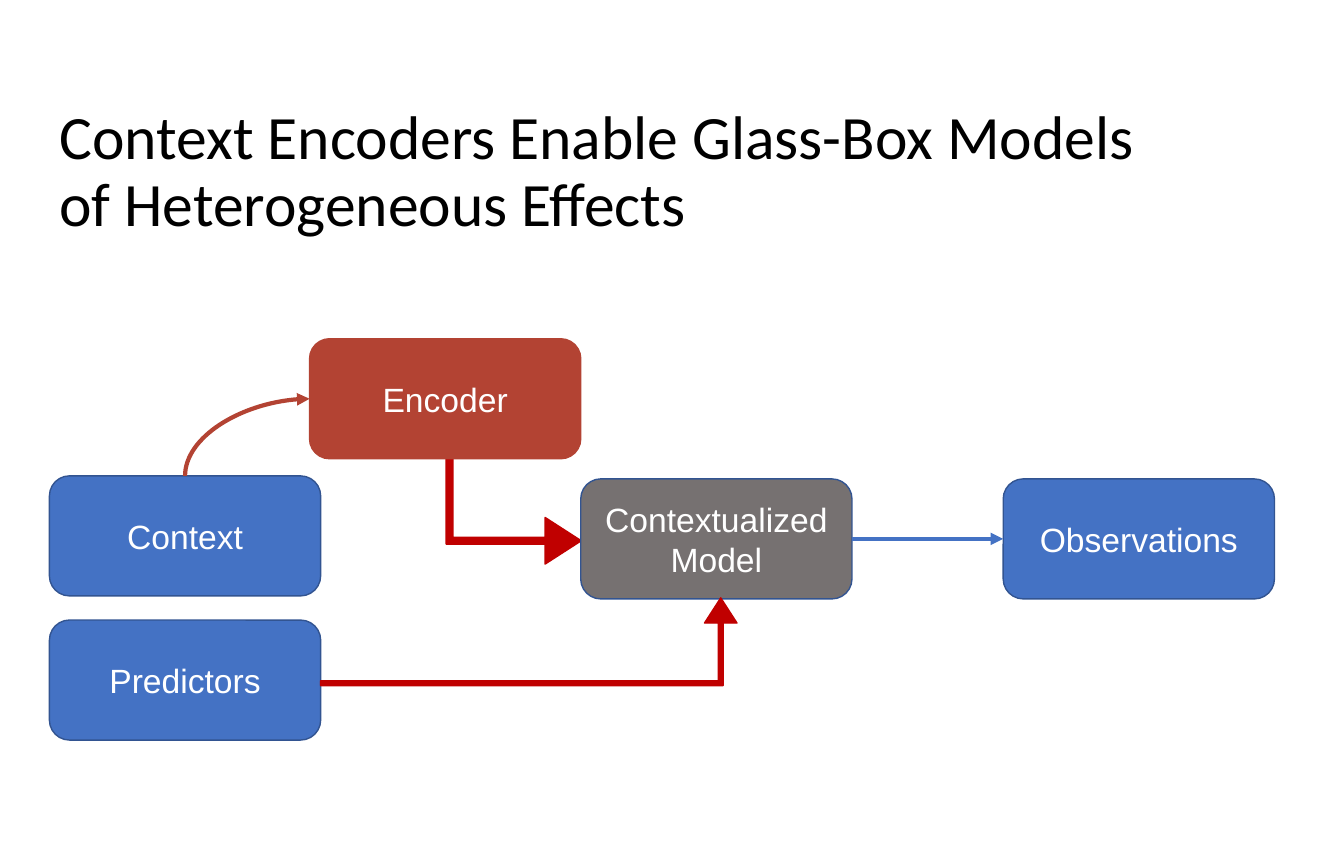
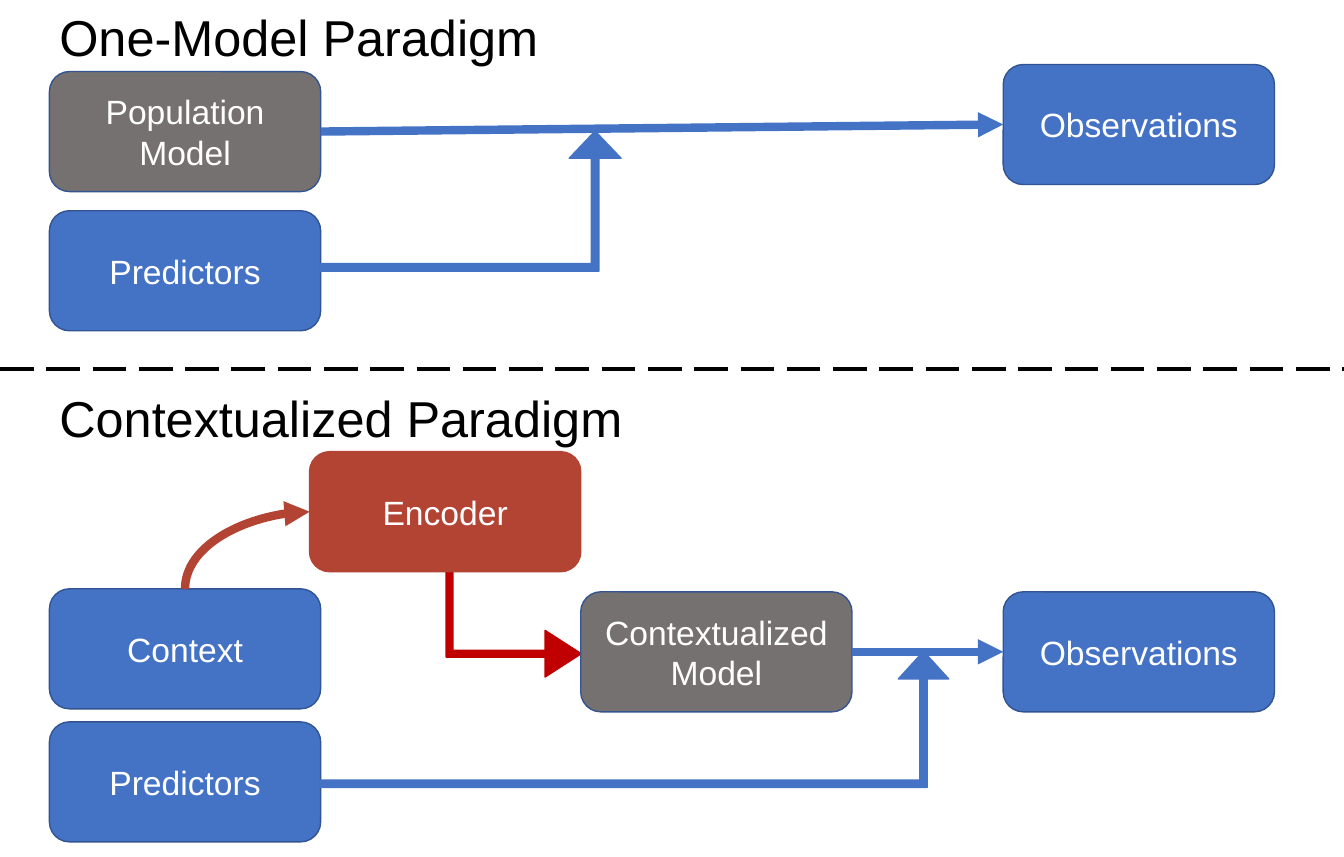
from pptx import Presentation
from pptx.dml.color import RGBColor
from pptx.enum.dml import MSO_LINE
from pptx.enum.shapes import MSO_CONNECTOR, MSO_SHAPE
from pptx.enum.text import MSO_ANCHOR, MSO_AUTO_SIZE, PP_ALIGN
from pptx.oxml.ns import qn
from pptx.util import Inches, Pt
from lxml import etree

ROUNDED = MSO_SHAPE.ROUNDED_RECTANGLE
BENT_ARROW = MSO_SHAPE.BENT_UP_ARROW
STRAIGHT, CURVE = MSO_CONNECTOR.STRAIGHT, MSO_CONNECTOR.CURVE
LONG_DASH = MSO_LINE.LONG_DASH
MIDDLE, CENTER = MSO_ANCHOR.MIDDLE, PP_ALIGN.CENTER
FIT_SHAPE = MSO_AUTO_SIZE.SHAPE_TO_FIT_TEXT

BLUE = RGBColor(0x44, 0x72, 0xC4)
NAVY = RGBColor(0x32, 0x54, 0x91)
GRAY = RGBColor(0x76, 0x71, 0x71)
BRICK = RGBColor(0xB3, 0x43, 0x33)
RED = RGBColor(0xC0, 0x00, 0x00)
BLACK = RGBColor(0x00, 0x00, 0x00)
WHITE = RGBColor(0xFF, 0xFF, 0xFF)

SLIDE_W, SLIDE_H = 13.33, 8.5
BOX_W, BOX_H = 2.69, 1.19
INPUT_X, ENCODER_X, MODEL_X, OUTPUT_X = 0.49, 3.07, 5.76, 9.95
ARROW_X = INPUT_X + BOX_W
TOP, LEFT, RIGHT = 0, 1, 3  # connection sites of a box


class Diagram:
    """Holds the style and the slide being drawn."""

    def __init__(self, prs):
        self.prs = prs
        self.slide = None

    def new_slide(self):
        self.slide = self.prs.slides.add_slide(self.prs.slide_layouts[6])

    def style_text(self, tf, text, size, color, font="Arial"):
        tf.text = text
        p = tf.paragraphs[0]
        r = p.runs[0]
        r.font.size = Pt(size)
        r.font.name = font
        r.font.color.rgb = color
        return p

    def title(self, text):
        s = self.slide.shapes.add_textbox(Inches(INPUT_X), Inches(0.99),
                                          Inches(11.5), Inches(1.45))
        tf = s.text_frame
        tf.word_wrap = True
        tf.vertical_anchor = MIDDLE
        p = self.style_text(tf, text, 44, BLACK, "Calibri")
        p.line_spacing = 0.9

    def heading(self, text, y, w):
        s = self.slide.shapes.add_textbox(Inches(INPUT_X), Inches(y),
                                          Inches(w), Inches(0.71))
        tf = s.text_frame
        tf.word_wrap = False
        tf.auto_size = FIT_SHAPE
        self.style_text(tf, text, 36, BLACK)

    def shape(self, kind, x, y, w, h, fill, line):
        s = self.slide.shapes.add_shape(kind, Inches(x), Inches(y), Inches(w), Inches(h))
        s.shadow.inherit = False
        s.fill.solid()
        s.fill.fore_color.rgb = fill
        s.line.color.rgb = line
        s.line.width = Pt(1)
        return s

    def box(self, text, x, y, fill=BLUE, line=NAVY):
        s = self.shape(ROUNDED, x, y, BOX_W, BOX_H, fill, line)
        tf = s.text_frame
        tf.word_wrap = True
        tf.vertical_anchor = MIDDLE
        p = self.style_text(tf, text, 24, WHITE)
        p.alignment = CENTER
        return s

    def bent_arrow(self, x, y, w, h, color, head=0.287, rotation=0):
        s = self.shape(BENT_ARROW, x, y, w, h, color, color)
        for i, value in enumerate((0.054, 0.185, head)):
            s.adjustments[i] = value
        s.rotation = rotation

    def connector(self, kind, x1, y1, x2, y2, color, width):
        c = self.slide.shapes.add_connector(kind, Inches(x1), Inches(y1),
                                            Inches(x2), Inches(y2))
        c.line.color.rgb = color
        c.line.width = Pt(width)
        etree.SubElement(c.element.spPr, qn("a:effectLst"))
        return c

    def arrow(self, start, start_site, end, end_site, color, width, kind=STRAIGHT):
        """Join two boxes with an arrow glued to their connection sites."""
        c = self.connector(kind, 0, 0, 1, 1, color, width)
        c.begin_connect(start, start_site)
        c.end_connect(end, end_site)
        etree.SubElement(c.line._get_or_add_ln(), qn("a:tailEnd"), type="triangle")
        return c

    def curved_arrow(self, start, end, color, width):
        """Leave the top of one box upwards and enter the left of the next."""
        c = self.arrow(start, TOP, end, LEFT, color, width, CURVE)
        x, y, w, h = c.left, c.top, c.width, c.height
        c.left, c.top = x + (w - h) // 2, y + (h - w) // 2
        c.width, c.height = h, w
        xfrm = c.element.spPr.find(qn("a:xfrm"))
        for name, value in (("rot", "5400000"), ("flipH", "1"), ("flipV", "1")):
            xfrm.set(name, value)
        c.element.spPr.find(qn("a:prstGeom")).set("prst", "curvedConnector2")

    def divider(self, y):
        c = self.connector(STRAIGHT, 0, y, SLIDE_W, y, BLACK, 3)
        c.line.dash_style = LONG_DASH

    def contextualized_flow(self, y, predictors_y, width):
        """Draw the flow from context to observations, with the encoder at y."""
        self.bent_arrow(4.47, y + 0.94, 1.25, 1.34, RED, rotation=90)
        encoder = self.box("Encoder", ENCODER_X, y, BRICK, BRICK)
        context = self.box("Context", INPUT_X, y + 1.36)
        model = self.box("Contextualized Model", MODEL_X, y + 1.39, GRAY)
        observations = self.box("Observations", OUTPUT_X, y + 1.39)
        self.arrow(model, RIGHT, observations, LEFT, BLUE, width)
        self.curved_arrow(context, encoder, BRICK, width)
        self.box("Predictors", INPUT_X, predictors_y)

    def one_model_flow(self):
        model = self.box("Population Model", INPUT_X, 0.71, GRAY)
        observations = self.box("Observations", OUTPUT_X, 0.64)
        self.arrow(model, RIGHT, observations, LEFT, BLUE, 6)
        self.box("Predictors", INPUT_X, 2.09)
        self.bent_arrow(ARROW_X, 1.3, 2.98, 1.39, BLUE, head=0.194)


def main():
    prs = Presentation()
    prs.slide_width, prs.slide_height = Inches(SLIDE_W), Inches(SLIDE_H)
    d = Diagram(prs)

    d.new_slide()
    d.title("Context Encoders Enable Glass-Box Models of Heterogeneous Effects")
    d.contextualized_flow(3.36, predictors_y=6.15, width=3)
    d.bent_arrow(ARROW_X, 5.93, 4.13, 0.87, RED)

    d.new_slide()
    d.contextualized_flow(4.48, predictors_y=7.16, width=6)
    d.bent_arrow(ARROW_X, 6.46, 6.23, 1.35, BLUE, head=0.203)
    d.one_model_flow()
    d.heading("One-Model Paradigm", 0.01, 5)
    d.divider(3.66)
    d.heading("Contextualized Paradigm", 3.79, 5.84)

    prs.save("out.pptx")


if __name__ == "__main__":
    main()
